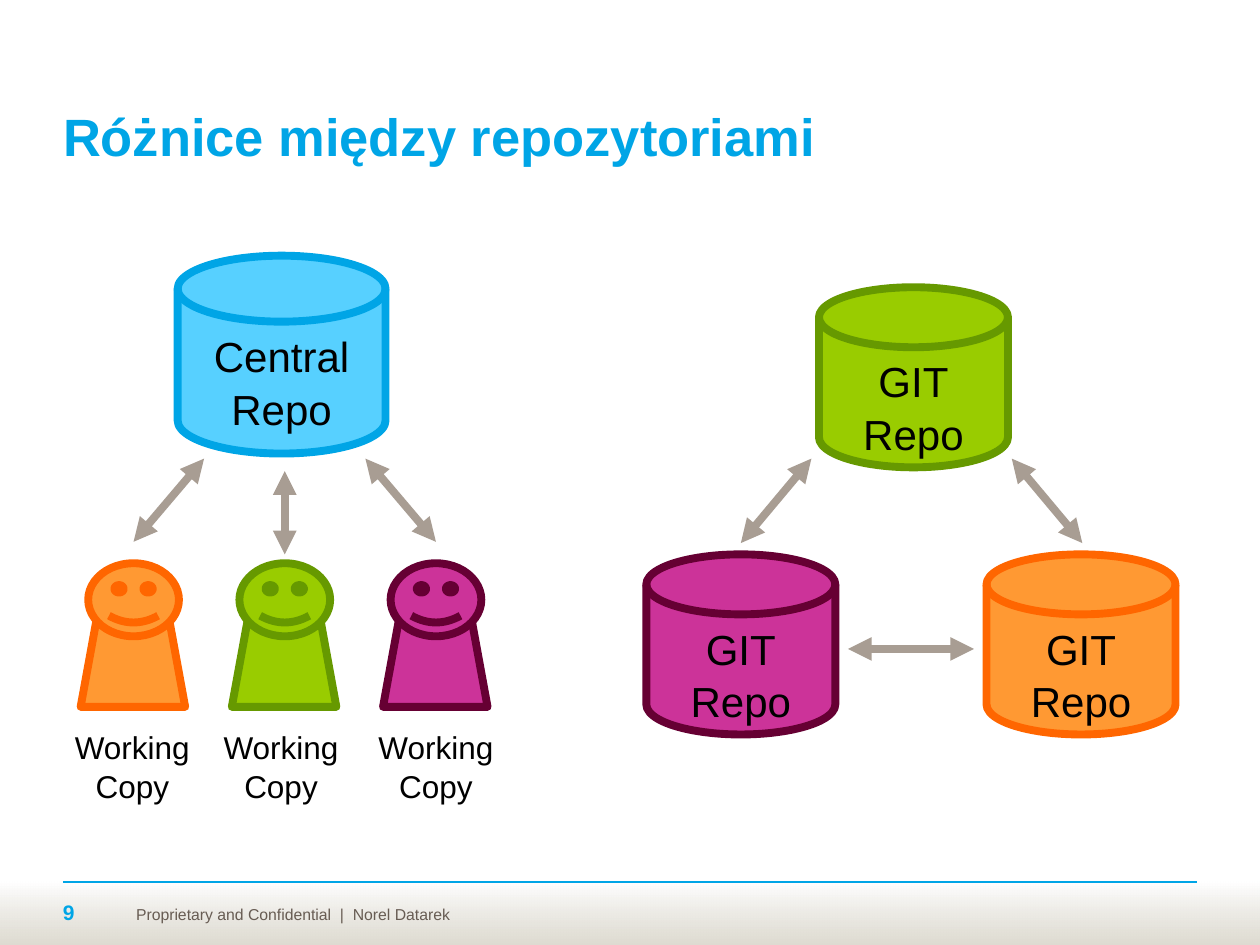
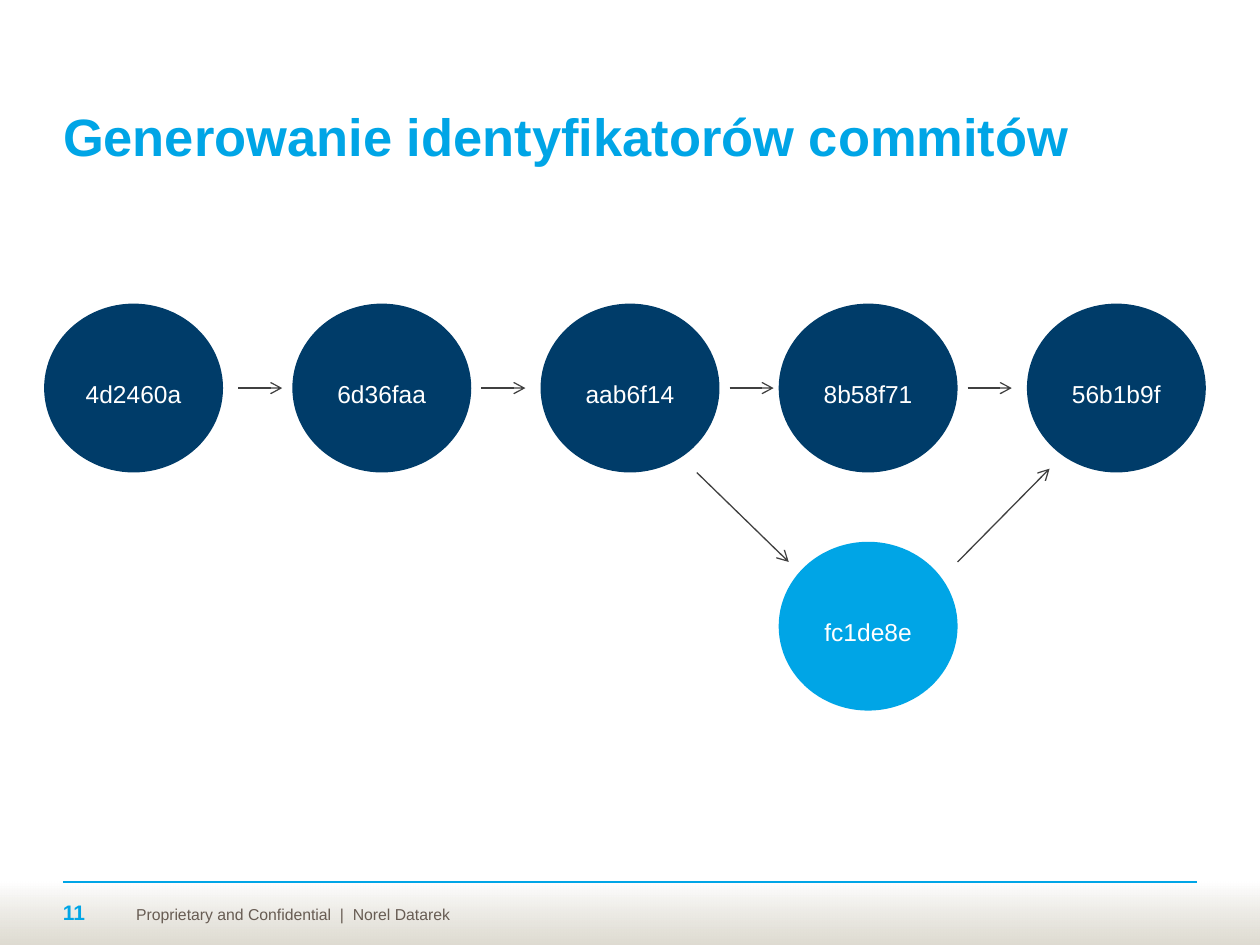
from pptx import Presentation
from pptx.dml.color import RGBColor
from pptx.enum.shapes import MSO_CONNECTOR as CONN, MSO_SHAPE as SHAPE
from pptx.enum.text import MSO_ANCHOR as ANCHOR, PP_ALIGN as ALIGN
from pptx.oxml.ns import qn
from pptx.util import Inches, Pt
from lxml import etree

FONT = "Arial"
COLORS = {
    "white": "FFFFFF", "black": "000000", "accent": "00A5E6",
    "band": "D7D3C7", "footer": "675C53", "sky": "57D0FF",
    "green": "99CC00", "dark_green": "669900",
    "orange": "FF9933", "dark_orange": "FF6600",
    "magenta": "CC3399", "dark_magenta": "660033",
    "sync": "A89D93", "navy": "003C69", "arrow": "404040",
}
BLUE = ("sky", "accent")
GREEN = ("green", "dark_green")
ORANGE = ("orange", "dark_orange")
MAGENTA = ("magenta", "dark_magenta")


def rgb(name):
    return RGBColor.from_string(COLORS[name])


def inches(*values):
    return [Inches(v) for v in values]


def write(sp, text, size, color, bold=False, align=ALIGN.LEFT,
          anchor=ANCHOR.TOP, spacing=None, wrap=True, inset=True):
    tf = sp.text_frame
    tf.text = text
    tf.word_wrap = wrap
    tf.vertical_anchor = anchor
    if not inset:
        tf.margin_left = tf.margin_right = tf.margin_top = tf.margin_bottom = 0
    for p in tf.paragraphs:
        p.alignment = align
        if spacing:
            p.line_spacing = spacing
        for r in p.runs:
            r.font.name = FONT
            r.font.size = Pt(size)
            r.font.bold = bold
            r.font.color.rgb = rgb(color)


def add_shape(s, kind, box, fill, line=None):
    sp = s.shapes.add_shape(kind, *inches(*box))
    sp.shadow.inherit = False
    sp.fill.solid()
    sp.fill.fore_color.rgb = rgb(fill)
    if line:
        sp.line.color.rgb = rgb(line)
        sp.line.width = Pt(4.5)
    else:
        sp.line.fill.background()
    return sp


def add_line(s, start, end, color, width, head=None, tail=None):
    ln = s.shapes.add_connector(CONN.STRAIGHT, *inches(*start, *end))
    ln.line.color.rgb = rgb(color)
    ln.line.width = Pt(width)
    for tag, kind in (("a:headEnd", head), ("a:tailEnd", tail)):
        if kind:
            etree.SubElement(ln.line._get_or_add_ln(), qn(tag), type=kind)
    etree.SubElement(ln._element.spPr, qn("a:effectLst"))


def add_footer(s, number):
    band = add_shape(s, SHAPE.RECTANGLE, (0, 7, 10, 0.5), "white")
    band.fill.gradient()
    band.fill.gradient_angle = 270
    for stop, name in zip(band.fill.gradient_stops, ("white", "band")):
        stop.color.rgb = rgb(name)
    last = list(band._element.iter(qn("a:srgbClr")))[-1]
    etree.SubElement(last, qn("a:alpha"), val="80000")
    add_line(s, (0.5, 7), (9.5, 7), "accent", 1)

    note = s.shapes.add_textbox(*inches(1.08, 7.03, 4, 0.3))
    write(note, "Proprietary and Confidential  |  Norel Datarek", 9, "footer",
          anchor=ANCHOR.BOTTOM, inset=False)
    num = s.shapes.add_textbox(*inches(0.5, 7.04, 0.5, 0.3))
    write(num, str(number), 12, "accent", bold=True,
          anchor=ANCHOR.BOTTOM, inset=False)


def add_slide(prs, title, number):
    s = prs.slides.add_slide(prs.slide_layouts[5])
    sp = s.shapes.title
    sp.left, sp.top, sp.width, sp.height = inches(0.5, 0.81, 9, 0.6)
    write(sp, title, 30, "accent", bold=True, anchor=ANCHOR.MIDDLE,
          spacing=0.9, inset=False)
    add_footer(s, number)
    return s


def add_repo(s, box, text, colors):
    sp = add_shape(s, SHAPE.FLOWCHART_MAGNETIC_DISK, box, *colors)
    write(sp, text, 24, "black", align=ALIGN.CENTER, spacing=1.05)


def add_sync(s, start, end):
    add_line(s, start, end, "sync", 4.5, "triangle", "triangle")


def add_user(s, x, y, colors):
    body = add_shape(s, SHAPE.TRAPEZOID, (x - 0.06, y + 0.45, 0.83, 0.69), *colors)
    body.adjustments[0] = 0.183
    add_shape(s, SHAPE.SMILEY_FACE, (x, y, 0.72, 0.58), *colors)


def add_central_model(s, x, y):
    """One shared repository above three users with working copies."""
    add_repo(s, (x + 0.92, y, 1.65, 1.57), "Central Repo", BLUE)
    label_lefts = (0, 1.18, 2.41)
    for i, (colors, left) in enumerate(zip((ORANGE, GREEN, MAGENTA), label_lefts)):
        add_user(s, x + 0.21 + 1.2 * i, y + 2.44, colors)
        label = s.shapes.add_textbox(*inches(x + left, y + 3.68, 1.12, 0.71))
        write(label, "Working\nCopy", 18, "black", align=ALIGN.CENTER,
              spacing=1.05, wrap=False)
    add_sync(s, (x + 1.13, y + 1.61), (x + 0.57, y + 2.27))
    add_sync(s, (x + 2.97, y + 2.27), (x + 2.41, y + 1.61))
    add_sync(s, (x + 1.77, y + 2.37), (x + 1.77, y + 1.71))


def add_distributed_model(s, x, y):
    """Three equal repositories in a triangle."""
    repos = ((1.37, 0, GREEN), (0, 2.12, MAGENTA), (2.7, 2.12, ORANGE))
    for dx, dy, colors in repos:
        add_repo(s, (x + dx, y + dy, 1.5, 1.43), "GIT\nRepo", colors)
    add_sync(s, (x + 3.46, y + 2.03), (x + 2.9, y + 1.36))
    add_sync(s, (x + 1.31, y + 1.36), (x + 0.75, y + 2.03))
    add_sync(s, (x + 2.6, y + 2.87), (x + 1.6, y + 2.87))


def add_commit(s, x, y, commit_id, fill):
    sp = add_shape(s, SHAPE.OVAL, (x, y, 1.42, 1.34), fill)
    write(sp, commit_id, 14, "white", align=ALIGN.CENTER, spacing=2.5)


def add_step(s, start, end):
    add_line(s, start, end, "arrow", 0.75, tail="arrow")


def add_commit_graph(s, x, y):
    """A row of commits with a branch that leaves the third and joins the fifth."""
    commits = (("4d2460a", 0), ("6d36faa", 1.97), ("aab6f14", 3.94),
               ("8b58f71", 5.83), ("56b1b9f", 7.8))
    for commit_id, dx in commits:
        add_commit(s, x + dx, y, commit_id, "navy")
    add_commit(s, x + 5.83, y + 1.89, "fc1de8e", "accent")
    for dx in (1.54, 3.47, 5.44, 7.33):
        add_step(s, (x + dx, y + 0.67), (x + dx + 0.35, y + 0.67))
    add_step(s, (x + 5.18, y + 1.34), (x + 5.91, y + 2.05))
    add_step(s, (x + 7.25, y + 2.05), (x + 7.98, y + 1.31))


def main():
    prs = Presentation()
    prs.slide_width, prs.slide_height = inches(10, 7.5)

    s = add_slide(prs, "Różnice między repozytoriami", 9)
    add_central_model(s, 0.49, 2.03)
    add_distributed_model(s, 5.13, 2.28)

    s = add_slide(prs, "Generowanie identyfikatorów commitów", 11)
    add_commit_graph(s, 0.35, 2.41)

    prs.save("out.pptx")


if __name__ == "__main__":
    main()
